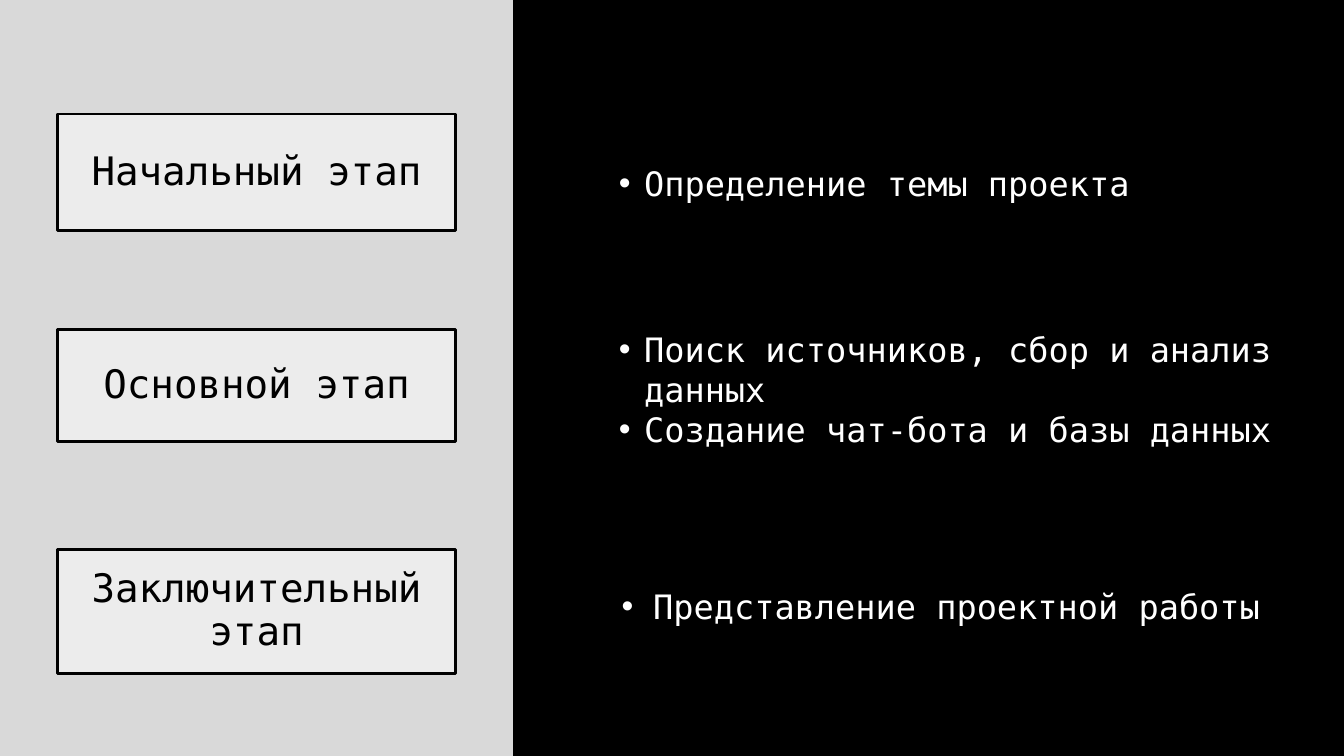
from dataclasses import dataclass

from lxml import etree
from pptx import Presentation
from pptx.dml.color import RGBColor
from pptx.enum.shapes import MSO_SHAPE
from pptx.enum.text import MSO_ANCHOR, MSO_AUTO_SIZE, PP_ALIGN
from pptx.oxml.ns import qn
from pptx.util import Pt

RECTANGLE = MSO_SHAPE.RECTANGLE
CENTER, LEFT = PP_ALIGN.CENTER, PP_ALIGN.LEFT
TOP, MIDDLE, BOTTOM = MSO_ANCHOR.TOP, MSO_ANCHOR.MIDDLE, MSO_ANCHOR.BOTTOM
FIXED_SIZE, FIT_TEXT = MSO_AUTO_SIZE.NONE, MSO_AUTO_SIZE.SHAPE_TO_FIT_TEXT


@dataclass(frozen=True)
class Theme:
    black: RGBColor = RGBColor(0, 0, 0)
    white: RGBColor = RGBColor(255, 255, 255)
    gray: RGBColor = RGBColor(0xD9, 0xD9, 0xD9)
    font: str = "DejaVu Sans Mono"
    stage_size: int = 28
    list_size: int = 24


THEME = Theme()
SLIDE_WIDTH, SLIDE_HEIGHT = 960, 540
STAGE_PANEL_WIDTH = 366.5
STAGE_WIDTH = 284
STAGES = [
    ("Начальный этап", 81.4, 83.5),
    ("Основной этап", 235.4, 80),
    ("Заключительный этап", 392.4, 88.6),
]


def place(shape, box):
    shape.left, shape.top, shape.width, shape.height = map(Pt, box)


def style_font(paragraph, size, color):
    paragraph.font.name = THEME.font
    paragraph.font.size = Pt(size)
    paragraph.font.color.rgb = color


def add_rectangle(slide, box, color):
    shape = slide.shapes.add_shape(RECTANGLE, *map(Pt, box))
    shape.shadow.inherit = False
    shape.fill.solid()
    shape.fill.fore_color.rgb = color
    shape.line.fill.background()
    return shape


def add_stage(slide, box, label):
    shape = add_rectangle(slide, box, THEME.white)
    color = shape.fill._xPr.find(qn("a:solidFill"))[0]
    etree.SubElement(color, qn("a:alpha"), val="50000")
    shape.line.color.rgb = THEME.black
    shape.line.width = Pt(2)
    shape.text_frame.text = label
    shape.text_frame.vertical_anchor = MIDDLE
    paragraph = shape.text_frame.paragraphs[0]
    paragraph.alignment = CENTER
    paragraph.line_spacing = 0.9
    style_font(paragraph, THEME.stage_size, THEME.black)


def add_stage_panel(slide, box):
    left, top, width, _ = box
    add_rectangle(slide, box, THEME.gray)
    stage_left = left + (width - STAGE_WIDTH) / 2
    for label, offset, height in STAGES:
        add_stage(slide, (stage_left, top + offset, STAGE_WIDTH, height), label)


def fill_list(shape, box, items, level, margin, hanging, anchor=TOP):
    place(shape, box)
    frame = shape.text_frame
    frame.word_wrap = True
    frame.auto_size = FIXED_SIZE
    frame.vertical_anchor = anchor
    frame.text = "\n".join(items)
    for paragraph in frame.paragraphs:
        paragraph.level = level
        paragraph.alignment = LEFT
        properties = paragraph._p.get_or_add_pPr()
        properties.set("marL", str(Pt(margin)))
        properties.set("indent", str(-Pt(hanging)))
        etree.SubElement(properties, qn("a:buFont"), typeface="Arial")
        etree.SubElement(properties, qn("a:buChar"), char="•")
        paragraph.line_spacing = 1.0
        paragraph.space_before = Pt(0)
        style_font(paragraph, THEME.list_size, THEME.white)
    return frame


def add_task_panel(slide, box):
    left, top, width, _ = box
    add_rectangle(slide, box, THEME.black)
    title, first, second = slide.placeholders
    title.element.getparent().remove(title.element)
    for placeholder in (first, second):
        placeholder.element.getparent().append(placeholder.element)
    list_left = left + 32.4
    frame = fill_list(first, (list_left, top + 65.5, 486.7, 115.2),
                      ["Определение темы проекта"], 1, 54, 18, BOTTOM)
    frame.margin_bottom = Pt(35.5)
    fill_list(second, (list_left, top + 231.1, width - 32.4, 93.6),
              ["Поиск источников, сбор и анализ данных",
               "Создание чат-бота и базы данных"], 1, 54, 18)
    final_box = (left + 70.5, top + 414.7, 504, 36)
    final_list = slide.shapes.add_textbox(*map(Pt, final_box))
    frame = fill_list(final_list, final_box,
                      ["Представление проектной работы"], 0, 22.5, 22.5)
    frame.auto_size = FIT_TEXT


def main():
    presentation = Presentation()
    presentation.slide_width = Pt(SLIDE_WIDTH)
    presentation.slide_height = Pt(SLIDE_HEIGHT)
    slide = presentation.slides.add_slide(
        presentation.slide_layouts.get_by_name("Two Content"))
    slide.background.fill.solid()
    slide.background.fill.fore_color.rgb = THEME.black
    add_stage_panel(slide, (0, 0, STAGE_PANEL_WIDTH, SLIDE_HEIGHT))
    add_task_panel(slide, (STAGE_PANEL_WIDTH, 0,
                           SLIDE_WIDTH - STAGE_PANEL_WIDTH, SLIDE_HEIGHT))
    presentation.save("out.pptx")


if __name__ == "__main__":
    main()
